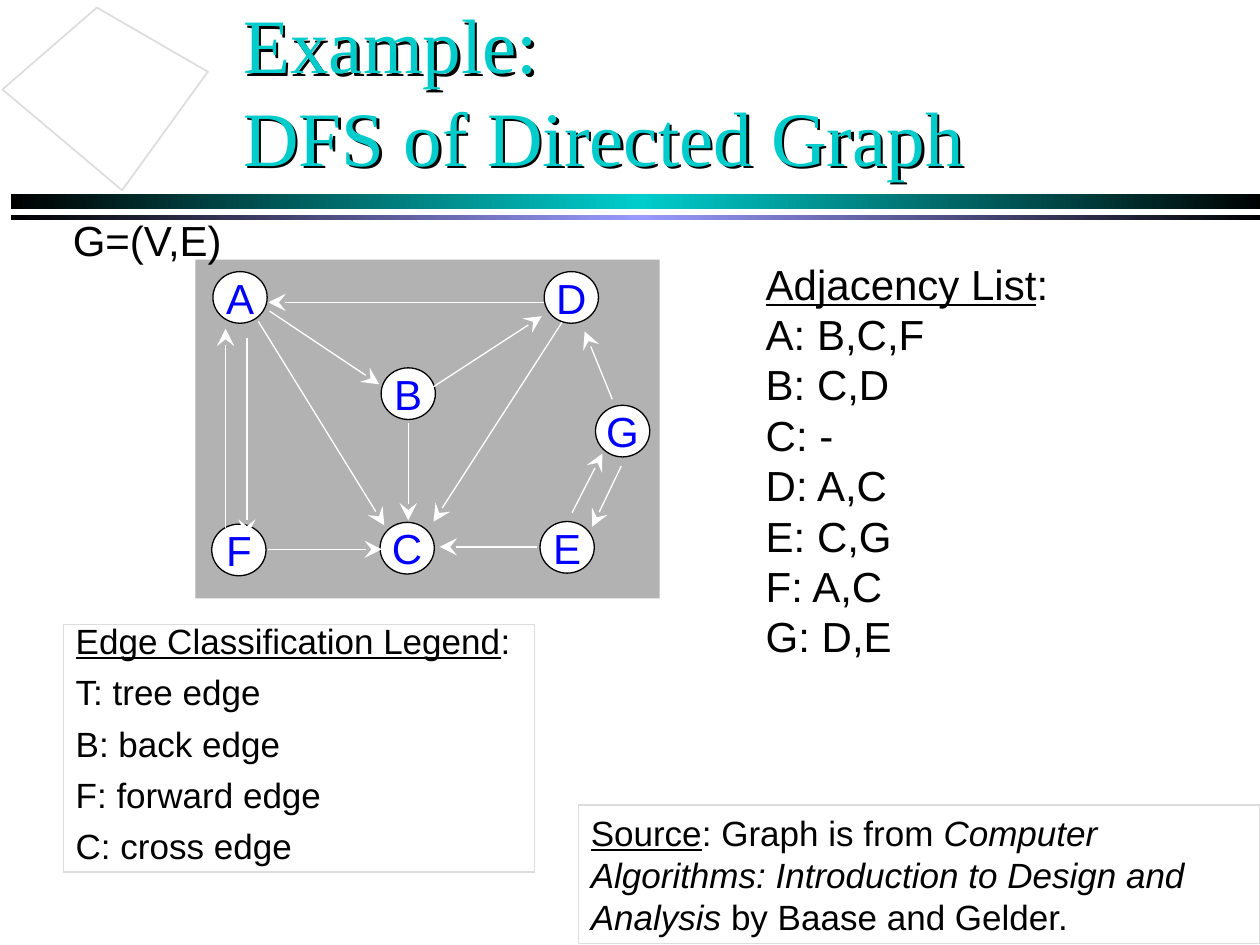
from lxml.etree import SubElement
from pptx import Presentation
from pptx.dml.color import RGBColor
from pptx.enum.shapes import MSO_CONNECTOR, MSO_SHAPE
from pptx.enum.text import MSO_ANCHOR, PP_ALIGN
from pptx.oxml.ns import qn
from pptx.util import Pt

BLACK = RGBColor(0x00, 0x00, 0x00)
WHITE = RGBColor(0xFF, 0xFF, 0xFF)
TEAL = RGBColor(0x00, 0xCC, 0xCC)
LAVENDER = RGBColor(0x99, 0x99, 0xFF)
BLUE = RGBColor(0x00, 0x00, 0xFF)
GRAY = RGBColor(0xB2, 0xB2, 0xB2)
PALE_GRAY = RGBColor(0xDD, 0xDD, 0xDD)

NODE_SIZE = (31, 29.5)
NODES = {
    "A": (121.7, 155.2), "B": (217.8, 210.2), "C": (217.2, 298.5),
    "D": (311, 155.2), "E": (308.6, 298), "F": (121, 299.5), "G": (340.3, 231.6),
}
# Start and end point of each directed edge
EDGES = {
    "FA": (128.9, 301.7, 128.9, 187.9),
    "AF": (141.1, 193, 141.1, 306.7),
    "DA": (311, 172.8, 153.4, 172.8),
    "DC": (321.1, 184.3, 247.7, 298.1),
    "FC": (153.4, 313.9, 218.2, 313.9),
    "EC": (306.7, 312.5, 251.3, 312.5),
    "BD": (247.7, 221, 309.6, 180.7),
    "AC": (147.6, 183.6, 219.6, 300.2),
    "AB": (154.1, 177.8, 216.7, 219.6),
    "BC": (233.3, 241.9, 233.3, 297.4),
    "GE": (355, 266.4, 338.4, 301),
    "EG": (326.9, 293, 344.2, 259.2),
    "GD": (349.9, 228.2, 334.1, 189.4),
}
ADJACENCY = ["A: B,C,F", "B: C,D", "C: -", "D: A,C", "E: C,G", "F: A,C", "G: D,E"]
EDGE_CLASSES = ["T: tree edge", "B: back edge", "F: forward edge", "C: cross edge"]


def add_text(paragraph, text, size=24, color=BLACK, name="Arial",
             underline=None, italic=None):
    """Add formatted text; a newline in it becomes a line break."""
    for index, line in enumerate(text.split("\n")):
        if index:
            paragraph.add_line_break()
        run = paragraph.add_run()
        run.text = line
        font = run.font
        font.size, font.name = Pt(size), name
        font.underline, font.italic = underline, italic
        font.color.rgb = color


class SlideBuilder:
    line_width = Pt(0.75)

    def __init__(self, slide):
        self.slide = slide

    def paint(self, shape, fill=None, line=None, width=line_width):
        shape.shadow.inherit = False
        if fill is None:
            shape.fill.background()
        else:
            shape.fill.solid()
            shape.fill.fore_color.rgb = fill
        if line is None:
            shape.line.fill.background()
        else:
            shape.line.color.rgb = line
            shape.line.width = width

    def shape(self, kind, left, top, width, height, fill=None, line=None):
        shape = self.slide.shapes.add_shape(kind, Pt(left), Pt(top), Pt(width), Pt(height))
        self.paint(shape, fill, line)
        return shape

    def gradient_bar(self, top, height, middle):
        """Draw a bar that fades from black to the middle colour and back."""
        bar = self.shape(MSO_SHAPE.RECTANGLE, 6, top, 719, height, BLACK)
        bar.fill.gradient()
        bar.fill.gradient_angle = 0
        stops = bar._element.spPr.find(qn("a:gradFill")).find(qn("a:gsLst"))
        for stop in list(stops):
            stops.remove(stop)
        for position, color in ((0, BLACK), (50000, middle), (100000, BLACK)):
            stop = SubElement(stops, qn("a:gs"), pos=str(position))
            SubElement(stop, qn("a:srgbClr"), val=str(color))

    def outline(self, points, fill, line):
        first, *others = [(Pt(x), Pt(y)) for x, y in points]
        builder = self.slide.shapes.build_freeform(*first, scale=1.0)
        builder.add_line_segments(others, close=True)
        self.paint(builder.convert_to_shape(), fill, line, Pt(1))

    def node(self, letter, left, top):
        node = self.shape(MSO_SHAPE.OVAL, left, top, *NODE_SIZE, WHITE, BLACK)
        frame = node.text_frame
        frame.word_wrap = False
        frame.vertical_anchor = MSO_ANCHOR.MIDDLE
        frame.paragraphs[0].alignment = PP_ALIGN.CENTER
        add_text(frame.paragraphs[0], letter, color=BLUE)

    def arrow(self, *ends):
        arrow = self.slide.shapes.add_connector(
            MSO_CONNECTOR.STRAIGHT, *[Pt(value) for value in ends])
        arrow.line.color.rgb = WHITE
        arrow.line.width = self.line_width
        properties = arrow._element.spPr
        SubElement(properties.find(qn("a:ln")), qn("a:tailEnd"),
                   type="stealth", w="lg", len="lg")
        SubElement(properties, qn("a:effectLst"))

    def text(self, left, top, width, height, paragraphs, line=None, wrap=True,
             anchor=MSO_ANCHOR.TOP, spacing=None, space_before=0, **text_format):
        """Add a text box; each paragraph is a list of (text, format) pairs."""
        box = self.slide.shapes.add_textbox(Pt(left), Pt(top), Pt(width), Pt(height))
        if line is not None:
            box.line.color.rgb = line
            box.line.width = self.line_width
        frame = box.text_frame
        frame.word_wrap = wrap
        frame.vertical_anchor = anchor
        for index, pieces in enumerate(paragraphs):
            paragraph = frame.add_paragraph() if index else frame.paragraphs[0]
            paragraph.line_spacing = spacing
            if index and space_before:
                paragraph.space_before = Pt(space_before)
            for text, piece_format in pieces:
                add_text(paragraph, text, **text_format, **piece_format)
        return box

    def title(self, *position, text):
        """Add the title; the shadow of its unfilled box falls from the letters."""
        box = self.text(*position, [[(text, {})]], anchor=MSO_ANCHOR.MIDDLE,
                        size=44, color=TEAL, name="Times New Roman")
        effects = SubElement(box._element.spPr, qn("a:effectLst"))
        shadow = SubElement(effects, qn("a:outerShdw"), dist=str(Pt(2)),
                            dir="2700000", algn="ctr", rotWithShape="0")
        SubElement(shadow, qn("a:srgbClr"), val=str(BLACK))


def headed_list(heading, items):
    """Return paragraphs: an underlined heading with a colon, then the items."""
    head = [(heading, {"underline": True}), (":", {})]
    return [head] + [[(item, {})] for item in items]


def main():
    presentation = Presentation()
    presentation.slide_width, presentation.slide_height = Pt(720), Pt(540)
    builder = SlideBuilder(presentation.slides.add_slide(presentation.slide_layouts[6]))

    builder.gradient_bar(111, 8.7, TEAL)
    builder.gradient_bar(123, 3, LAVENDER)
    builder.outline([(69.8, 108.7), (1.4, 51.1), (55.4, 4.3), (118.8, 41)], WHITE, PALE_GRAY)
    builder.shape(MSO_SHAPE.RECTANGLE, 111.6, 148.4, 265.3, 193.6, GRAY)
    builder.title(132, 6, 612, 90, text="Example:\nDFS of Directed Graph")
    source = [
        ("Source", {"underline": True}),
        (": Graph is from ", {}),
        ("Computer Algorithms: Introduction to Design and Analysis", {"italic": True}),
        (" by Baase and Gelder.", {}),
    ]
    builder.text(330.5, 460, 389.5, 79.2, [source], line=PALE_GRAY, size=20)

    for letter, corner in NODES.items():
        builder.node(letter, *corner)
    for ends in EDGES.values():
        builder.arrow(*ends)

    builder.text(34.5, 118.8, 101.5, 36, [[("G=(V,E)", {})]], wrap=False)
    builder.text(430.5, 144, 175.7, 237.6, headed_list("Adjacency List", ADJACENCY), wrap=False)
    builder.text(36.2, 357, 269.3, 141.3, headed_list("Edge Classification Legend", EDGE_CLASSES),
                 line=PALE_GRAY, spacing=0.7, space_before=12.5, size=20)
    presentation.save("out.pptx")


if __name__ == "__main__":
    main()
